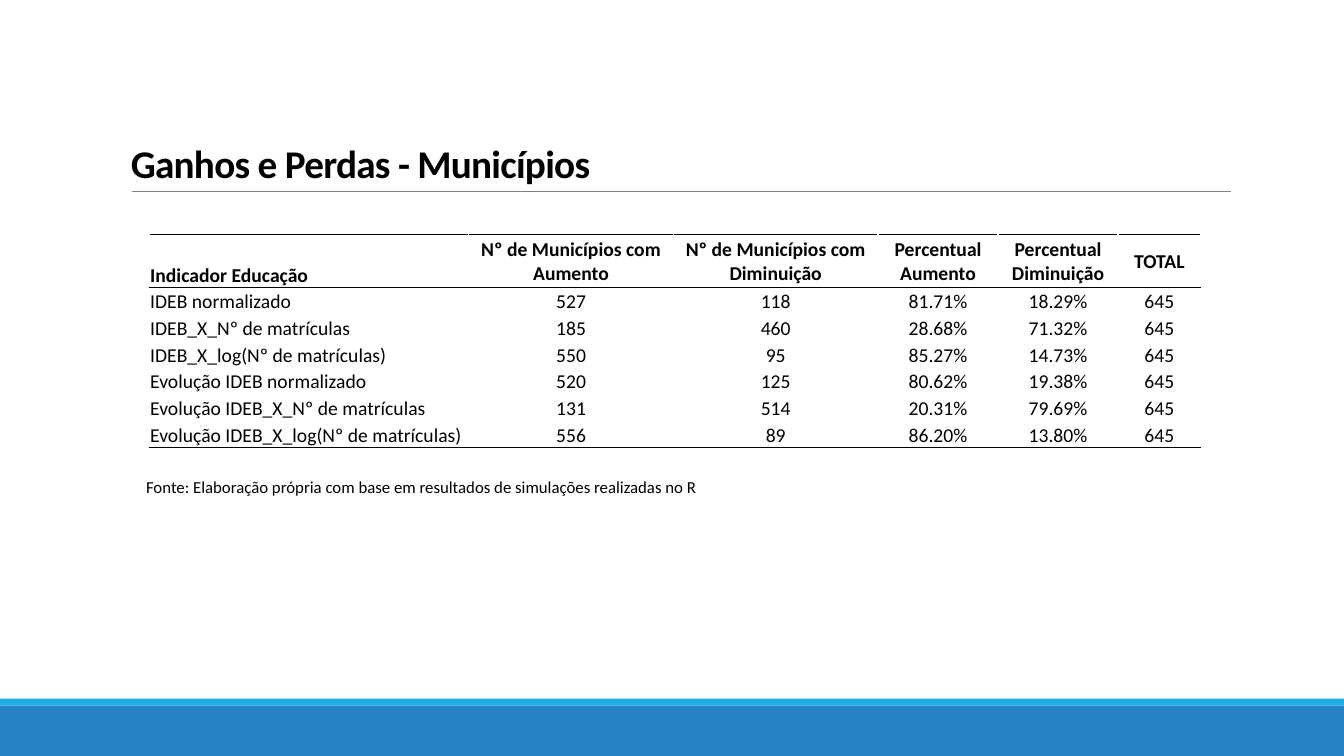
from lxml import etree
from pptx import Presentation
from pptx.dml.color import RGBColor
from pptx.enum.shapes import MSO_CONNECTOR, MSO_SHAPE
from pptx.enum.text import MSO_ANCHOR, PP_ALIGN
from pptx.oxml.ns import qn
from pptx.util import Emu, Inches, Pt

STRAIGHT = MSO_CONNECTOR.STRAIGHT
RECTANGLE = MSO_SHAPE.RECTANGLE
TOP, MIDDLE, BOTTOM = MSO_ANCHOR.TOP, MSO_ANCHOR.MIDDLE, MSO_ANCHOR.BOTTOM
LEFT, CENTER = PP_ALIGN.LEFT, PP_ALIGN.CENTER

SLIDE_W, SLIDE_H = Emu(12192000), Emu(6858000)
BLACK, WHITE, GREY = "000000", "FFFFFF", "808080"
BLUE, CYAN = "2683C6", "1CADE4"
CELL_INSETS = {"margin_left": Inches(0.01), "margin_right": Inches(0.01),
               "margin_top": Inches(0.01), "margin_bottom": 0}

COLUMN_SHARES = [23.78, 15.23, 15.23, 8.93, 8.93, 6.15]
HEADER_SHARE, ROW_SHARE = 6.93, 3.53
RESULTS = [
    ["Indicador Educação", "Nº de Municípios com Aumento",
     "Nº de Municípios com Diminuição", "Percentual Aumento",
     "Percentual Diminuição", "TOTAL"],
    ["IDEB normalizado", "527", "118", "81.71%", "18.29%", "645"],
    ["IDEB_X_Nº de matrículas", "185", "460", "28.68%", "71.32%", "645"],
    ["IDEB_X_log(Nº de matrículas)", "550", "95", "85.27%", "14.73%", "645"],
    ["Evolução IDEB normalizado", "520", "125", "80.62%", "19.38%", "645"],
    ["Evolução IDEB_X_Nº de matrículas", "131", "514", "20.31%", "79.69%", "645"],
    ["Evolução IDEB_X_log(Nº de matrículas)", "556", "89", "86.20%", "13.80%", "645"],
]


def across(percent):
    """Return a percentage of the slide width."""
    return Emu(round(SLIDE_W * percent / 100))


def down(percent):
    """Return a percentage of the slide height."""
    return Emu(round(SLIDE_H * percent / 100))


def box(left, top, width, height):
    """Turn four percentages into a position and size."""
    return across(left), down(top), across(width), down(height)


def color(hex_value):
    """Return the colour of a hex string."""
    return RGBColor.from_string(hex_value)


def set_all(target, values):
    """Set every attribute named in a dict of format values."""
    for name, value in values.items():
        setattr(target, name, value)


def write(paragraph, text, size, bold=False, align=LEFT):
    """Write one formatted run and return it."""
    paragraph.alignment = align
    run = paragraph.add_run()
    run.text = text
    set_all(run.font, {"name": "Calibri", "size": Pt(size), "bold": bold})
    run.font.color.rgb = color(BLACK)
    return run


def add_band(slide, place, fill):
    """Add a plain band of colour."""
    band = slide.shapes.add_shape(RECTANGLE, *box(*place))
    band.shadow.inherit = False
    band.fill.solid()
    band.fill.fore_color.rgb = color(fill)
    band.line.fill.background()


def add_rule(slide, start, end, height):
    """Add a thin horizontal rule."""
    rule = slide.shapes.add_connector(
        STRAIGHT, across(start), down(height), across(end), down(height))
    rule.line.color.rgb = color(GREY)
    rule.line.width = Pt(0.5)
    etree.SubElement(rule.element.spPr, qn("a:effectLst"))


def add_text(slide, place, text, size, bold=False, anchor=TOP, wrap=True):
    """Add a text box and return its paragraph and run."""
    frame = slide.shapes.add_textbox(*box(*place)).text_frame
    set_all(frame, {"word_wrap": wrap, "vertical_anchor": anchor})
    paragraph = frame.paragraphs[0]
    return paragraph, write(paragraph, text, size, bold)


def set_borders(cell, top, bottom):
    """Draw the four cell borders, white at the sides."""
    properties = cell._tc.get_or_add_tcPr()
    edges = {"a:lnL": WHITE, "a:lnR": WHITE, "a:lnT": top, "a:lnB": bottom}
    for position, (edge, hex_value) in enumerate(edges.items()):
        border = etree.Element(qn(edge), w=str(Pt(1)))
        fill = etree.SubElement(border, qn("a:solidFill"))
        etree.SubElement(fill, qn("a:srgbClr"), val=hex_value)
        properties.insert(position, border)


def add_results(slide, left, top):
    """Add the table of gains and losses."""
    last = len(RESULTS) - 1
    row_shares = [HEADER_SHARE] + [ROW_SHARE] * last
    place = box(left, top, sum(COLUMN_SHARES), sum(row_shares))
    table = slide.shapes.add_table(len(RESULTS), len(COLUMN_SHARES), *place).table
    set_all(table, {"first_row": False, "horz_banding": False})
    for column, share in zip(table.columns, COLUMN_SHARES):
        column.width = across(share)
    for r, (row, share, texts) in enumerate(zip(table.rows, row_shares, RESULTS)):
        row.height = down(share)
        for c, (cell, text) in enumerate(zip(row.cells, texts)):
            set_all(cell, CELL_INSETS)
            cell.vertical_anchor = MIDDLE if r == 0 and c > 0 else BOTTOM
            cell.fill.solid()
            cell.fill.fore_color.rgb = color(WHITE)
            set_borders(cell, top=BLACK if r in (0, 1) else WHITE,
                        bottom=BLACK if r in (0, last) else WHITE)
            write(cell.text_frame.paragraphs[0], text, 14, bold=r == 0,
                  align=CENTER if c else LEFT)


def main():
    """Build the slide and save it."""
    deck = Presentation()
    set_all(deck, {"slide_width": SLIDE_W, "slide_height": SLIDE_H})
    slide = deck.slides.add_slide(deck.slide_layouts[6])
    add_band(slide, (0, 93.33, 100, 6.67), BLUE)
    add_band(slide, (0, 92.4, 100, 0.93), CYAN)
    add_rule(slide, 9.83, 91.57, 25.33)
    heading, heading_run = add_text(
        slide, (9, 4.13, 82.5, 21.2), "Ganhos e Perdas - Municípios", 28,
        bold=True, anchor=BOTTOM)
    heading.line_spacing = 0.85
    heading_run.font._element.set("spc", "-50")
    add_results(slide, 11.1, 31.07)
    add_text(slide, (10.13, 62.4, 42.98, 4.04),
             "Fonte: Elaboração própria com base em resultados de "
             "simulações realizadas no R", 12, wrap=False)
    deck.save("out.pptx")


if __name__ == "__main__":
    main()
